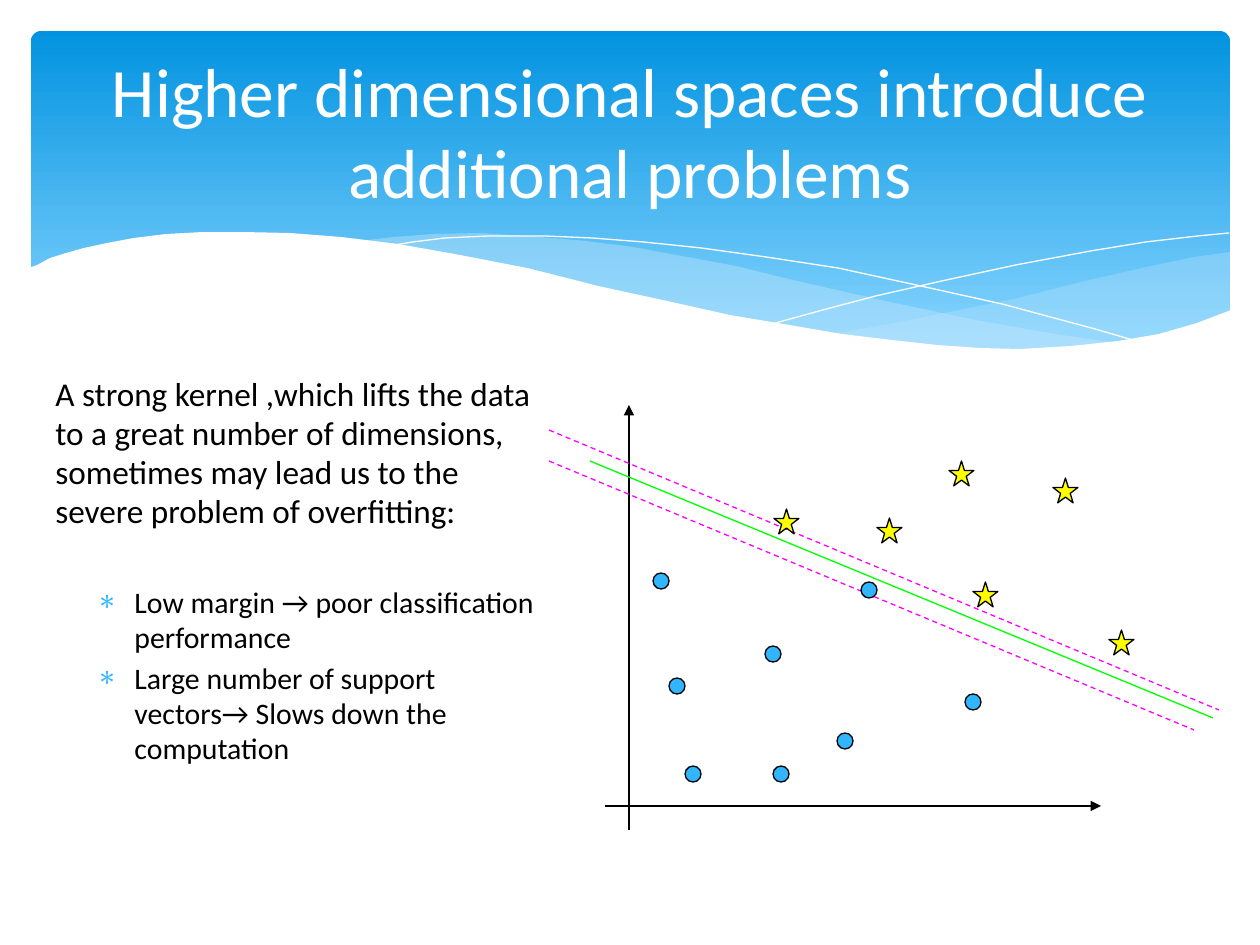
from lxml import etree
from pptx import Presentation
from pptx.dml.color import RGBColor
from pptx.enum.dml import MSO_LINE
from pptx.enum.shapes import MSO_CONNECTOR, MSO_SHAPE
from pptx.enum.text import MSO_ANCHOR, PP_ALIGN
from pptx.oxml.ns import qn
from pptx.util import Pt

STRAIGHT = MSO_CONNECTOR.STRAIGHT
DASH = MSO_LINE.DASH
ROUNDED = MSO_SHAPE.ROUNDED_RECTANGLE
CIRCLE, STAR = MSO_SHAPE.FLOWCHART_CONNECTOR, MSO_SHAPE.STAR_5_POINT
TOP, MIDDLE = MSO_ANCHOR.TOP, MSO_ANCHOR.MIDDLE
LEFT, CENTER = PP_ALIGN.LEFT, PP_ALIGN.CENTER

EMU_PER_PX = 914400 / 126
THEME = {
    "font": "Calibri",
    "title_size": 39.6, "lead_size": 19, "bullet_size": 17, "line": 0.75,
    "white": "FFFFFF", "black": "000000",
    "banner_top": "0293E0", "banner_bottom": "83D3FE", "wave": "C6E7FC",
    "circle": "31B6FD", "star": "FFFF00", "boundary": "00FF00", "margin": "FF00FF",
}


def color(name):
    return RGBColor.from_string(THEME[name])


def px(*lengths):
    """Turn pixel lengths into a list of EMU."""
    return [round(length * EMU_PER_PX) for length in lengths]


presentation = Presentation()
presentation.slide_width, presentation.slide_height = px(1260, 945)
slide = presentation.slides.add_slide(presentation.slide_layouts[6])
shapes = slide.shapes


def add_text(box, paragraphs, ink="black", align=LEFT, anchor=TOP):
    """Each paragraph is (text, size, space before in points, has bullet)."""
    frame = shapes.add_textbox(*px(*box)).text_frame
    frame.word_wrap = True
    frame.vertical_anchor = anchor
    for index, (text, size, space, bullet) in enumerate(paragraphs):
        paragraph = frame.add_paragraph() if index else frame.paragraphs[0]
        paragraph.alignment = align
        paragraph.line_spacing = 0.98
        paragraph.space_before = Pt(space)
        run = paragraph.add_run()
        run.text = text
        run.font.name = THEME["font"]
        run.font.size = Pt(THEME[size])
        run.font.color.rgb = color(ink)
        if bullet:
            properties = paragraph._p.get_or_add_pPr()
            margin, indent = px(79, -38)
            properties.set("marL", str(margin))
            properties.set("indent", str(indent))
            bullet_color = etree.SubElement(properties, qn("a:buClr"))
            etree.SubElement(bullet_color, qn("a:srgbClr"), val=THEME["circle"])
            etree.SubElement(properties, qn("a:buChar"), char="∗")


# Banner
banner = shapes.add_shape(ROUNDED, *px(31, 31, 1199, 340))
banner.adjustments[0] = 0.03
banner.shadow.inherit = False
banner.line.fill.background()
banner.fill.gradient()
banner.fill.gradient_angle = 270
for stop, position, name in zip(banner.fill.gradient_stops, (0, 0.9),
                                ("banner_top", "banner_bottom")):
    stop.color.rgb = color(name)
    stop.position = position

# Waves: fill colour (None for an open line), opacity in percent, points
right_wave = [
    (1230, 252), (1194, 257), (1142, 268), (1085, 281), (1014, 299), (949, 312),
    (890, 324), (833, 334), (888, 341), (939, 346), (998, 349), (1052, 349),
    (1099, 345), (1140, 339), (1178, 330), (1213, 318), (1230, 311)]
middle_wave = [
    (1125, 344), (1055, 334), (976, 320), (890, 302), (793, 280), (736, 266),
    (682, 256), (633, 247), (586, 241), (529, 236), (479, 233), (433, 234),
    (394, 237), (360, 241), (407, 247), (456, 256), (509, 266), (566, 280),
    (619, 292), (713, 312), (799, 329), (876, 340), (942, 348), (1003, 350),
    (1056, 350), (1092, 348)]
falling_curve = [
    (389, 246), (413, 242), (445, 238), (488, 236), (545, 236), (592, 238),
    (643, 242), (701, 248), (766, 257), (838, 268), (916, 285), (1002, 304),
    (1095, 329), (1143, 343)]
rising_curve = [
    (772, 324), (823, 310), (876, 296), (942, 281), (1016, 265), (1091, 251),
    (1146, 242), (1198, 236), (1229, 233)]
front_wave = [
    (1231, 310), (1197, 323), (1159, 334), (1118, 341), (1071, 346), (1019, 349),
    (980, 348), (937, 345), (892, 340), (842, 334), (789, 325), (730, 315),
    (667, 301), (598, 286), (563, 277), (527, 268), (460, 255), (398, 244),
    (341, 237), (290, 233), (243, 232), (203, 232), (166, 234), (134, 238),
    (107, 243), (84, 248), (66, 253), (50, 258), (37, 265), (29, 268),
    (29, 415), (1231, 415)]
for fill, opacity, points in [
    ("wave", 29, right_wave),
    ("wave", 40, middle_wave),
    (None, 100, falling_curve),
    (None, 100, rising_curve),
    ("white", 100, front_wave),
]:
    builder = shapes.build_freeform(*points[0], scale=EMU_PER_PX)
    builder.add_line_segments(points[1:], close=fill is not None)
    wave = builder.convert_to_shape()
    wave.shadow.inherit = False
    if fill is None:
        wave.fill.background()
        wave.line.color.rgb = color("white")
        wave.line.width = Pt(0)
        continue
    wave.line.fill.background()
    wave.fill.solid()
    wave.fill.fore_color.rgb = color(fill)
    if opacity < 100:
        fill_color = wave._element.spPr.find(qn("a:solidFill"))[0]
        etree.SubElement(fill_color, qn("a:alpha"), val=str(opacity * 1000))

# Text
add_text((43, 369, 508, 508), [
    ("A strong kernel ,which lifts the data to a great number of dimensions, "
     "sometimes may lead us to the severe problem of overfitting:",
     "lead_size", 3.8, False),
    ("Low margin → poor classification performance", "bullet_size", 31, True),
    ("Large number of support vectors→ Slows down the computation",
     "bullet_size", 3.4, True),
])
add_text((63, 47, 1134, 173),
         [("Higher dimensional spaces introduce additional problems",
           "title_size", 0, False)],
         ink="white", align=CENTER, anchor=MIDDLE)

# Axes, decision boundary and margins: ends, colour, dashed, arrow
for ends, name, dashed, arrow in [
    ((605, 806, 1101, 806), "black", False, True),
    ((629, 830, 629, 405), "black", False, True),
    ((590, 461, 1213, 718), "boundary", False, False),
    ((549, 461, 1194, 730), "margin", True, False),
    ((549, 430, 1219, 710), "margin", True, False),
]:
    connector = shapes.add_connector(STRAIGHT, *px(*ends))
    connector.line.color.rgb = color(name)
    connector.line.width = Pt(THEME["line"])
    if dashed:
        connector.line.dash_style = DASH
    if arrow:
        etree.SubElement(connector.line._get_or_add_ln(), qn("a:tailEnd"), type="triangle")
    etree.SubElement(connector._element.spPr, qn("a:effectLst"))

# Data points of the two classes
circles = [(669, 678), (765, 646), (685, 766), (861, 582),
           (773, 766), (653, 573), (965, 694), (837, 733)]
stars = [(774, 509), (1053, 478), (949, 461), (877, 518), (973, 582), (1109, 630)]
for kind, name, size, positions in [(CIRCLE, "circle", 16, circles),
                                    (STAR, "star", 25, stars)]:
    for left, top in positions:
        point = shapes.add_shape(kind, *px(left, top, size, size))
        point.shadow.inherit = False
        point.fill.solid()
        point.fill.fore_color.rgb = color(name)
        point.line.color.rgb = color("black")
        point.line.width = Pt(THEME["line"])

presentation.save("out.pptx")
